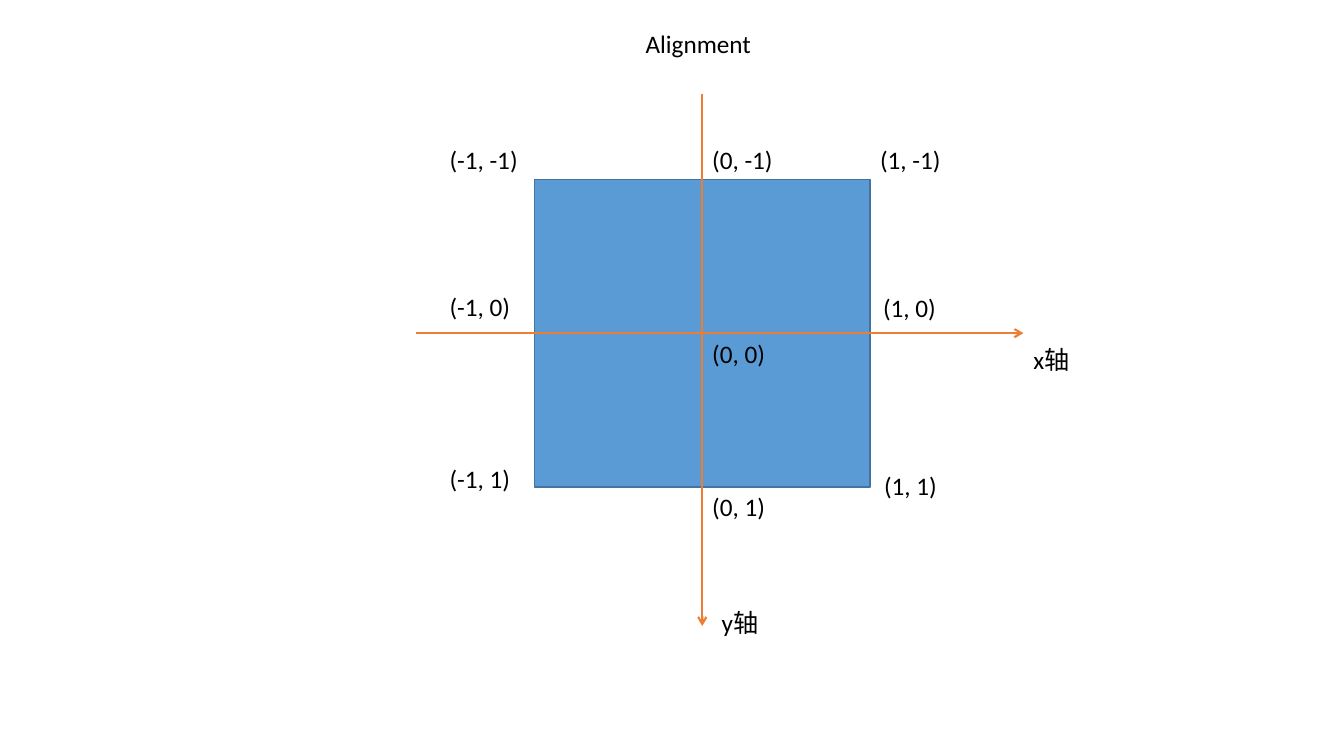
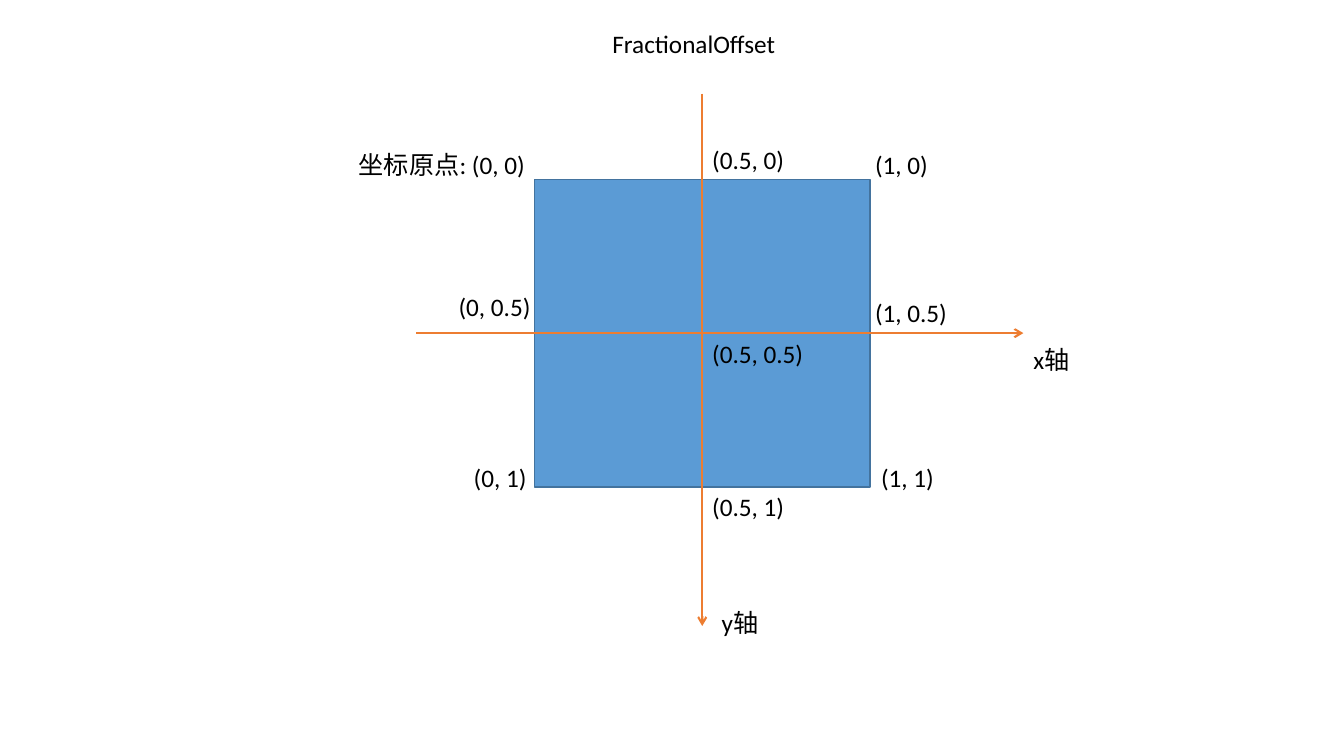
from pptx import Presentation
from pptx.dml.color import RGBColor
from pptx.enum.shapes import MSO_CONNECTOR, MSO_SHAPE
from pptx.enum.text import MSO_AUTO_SIZE
from pptx.oxml.ns import qn
from pptx.util import Inches, Pt
from lxml import etree

# Content: title, title width, and per grid point (column, row):
# label, shift right and shift down from that point
SYSTEMS = [
    ("Alignment", 1.32, {
        (0, 0): ("(-1, -1)", -0.94, -0.4),
        (1, 0): ("(0, -1)", 0, -0.4),
        (2, 0): ("(1, -1)", 0, -0.4),
        (0, 1): ("(-1, 0)", -0.94, -0.46),
        (1, 1): ("(0, 0)", 0, 0),
        (2, 1): ("(1, 0)", 0.03, -0.45),
        (0, 2): ("(-1, 1)", -0.94, -0.28),
        (1, 2): ("(0, 1)", 0, 0),
        (2, 2): ("(1, 1)", 0.04, -0.21),
    }),
    ("FractionalOffset", 1.98, {
        (0, 0): ("坐标原点: (0, 0)", -1.84, -0.35),
        (1, 0): ("(0.5, 0)", 0, -0.4),
        (2, 0): ("(1, 0)", -0.05, -0.35),
        (0, 1): ("(0, 0.5)", -0.85, -0.46),
        (1, 1): ("(0.5, 0.5)", 0, 0),
        (2, 1): ("(1, 0.5)", -0.05, -0.4),
        (0, 2): ("(0, 1)", -0.7, -0.29),
        (1, 2): ("(0.5, 1)", 0, 0),
        (2, 2): ("(1, 1)", 0.01, -0.29),
    }),
]
# Axis label, left, top, width
AXIS_NAMES = [("y轴", 7.06, 5.98, 0.57), ("x轴", 10.15, 3.37, 0.58)]

# Shared style and geometry, in inches
BLUE = RGBColor(0x5B, 0x9B, 0xD5)
DARK_BLUE = RGBColor(0x43, 0x73, 0x9E)
ORANGE = RGBColor(0xED, 0x7D, 0x31)
BLACK = RGBColor(0, 0, 0)
FONT = "Calibri"
FONT_SIZE = Pt(18)
RECTANGLE = MSO_SHAPE.RECTANGLE
STRAIGHT = MSO_CONNECTOR.STRAIGHT
GROW = MSO_AUTO_SIZE.SHAPE_TO_FIT_TEXT

LEFT, TOP, WIDTH, HEIGHT = 5.3, 1.78, 3.33, 3.05
COLUMNS = [LEFT + WIDTH * i / 2 for i in range(3)]
ROWS = [TOP + HEIGHT * i / 2 for i in range(3)]
CENTER_X, CENTER_Y = COLUMNS[1], ROWS[1]
AXES = [(4.13, CENTER_Y, 10.15, CENTER_Y), (CENTER_X, 0.93, CENTER_X, 6.21)]
LINE_HEIGHT = 0.4
ORIGIN_WIDTH = 1.88


def add_label(slide, text, left, top, width, wrap=False):
    box = slide.shapes.add_textbox(
        Inches(left), Inches(top), Inches(width), Inches(LINE_HEIGHT))
    frame = box.text_frame
    frame.word_wrap = wrap
    frame.auto_size = GROW
    run = frame.paragraphs[0].add_run()
    run.text = text
    run.font.name = FONT
    run.font.size = FONT_SIZE
    run.font.color.rgb = BLACK


def add_axis(slide, ends):
    axis = slide.shapes.add_connector(STRAIGHT, *map(Inches, ends))
    axis.line.color.rgb = ORANGE
    axis.line.width = Pt(1.5)
    etree.SubElement(axis.line._get_or_add_ln(), qn("a:tailEnd"), type="arrow")
    etree.SubElement(axis._element.spPr, qn("a:effectLst"))


def add_plane(slide):
    square = slide.shapes.add_shape(
        RECTANGLE, *map(Inches, (LEFT, TOP, WIDTH, HEIGHT)))
    square.shadow.inherit = False
    square.fill.solid()
    square.fill.fore_color.rgb = BLUE
    square.line.color.rgb = DARK_BLUE
    square.line.width = Pt(1)
    for ends in AXES:
        add_axis(slide, ends)
    for name, left, top, width in AXIS_NAMES:
        add_label(slide, name, left, top, width, wrap=True)


prs = Presentation()
prs.slide_width, prs.slide_height = Inches(13.33), Inches(7.5)
blank = prs.slide_layouts[6]

for title, title_width, points in SYSTEMS:
    slide = prs.slides.add_slide(blank)
    add_plane(slide)
    add_label(slide, title, CENTER_X - title_width / 2, 0.23, title_width)
    for (column, row), (text, right, down) in points.items():
        # Coordinates widen by a tenth per character; the named origin wraps
        named = not text.startswith("(")
        width = ORIGIN_WIDTH if named else 0.15 + 0.1 * len(text)
        add_label(slide, text, COLUMNS[column] + right, ROWS[row] + down,
                  width, wrap=named)

prs.save("out.pptx")
